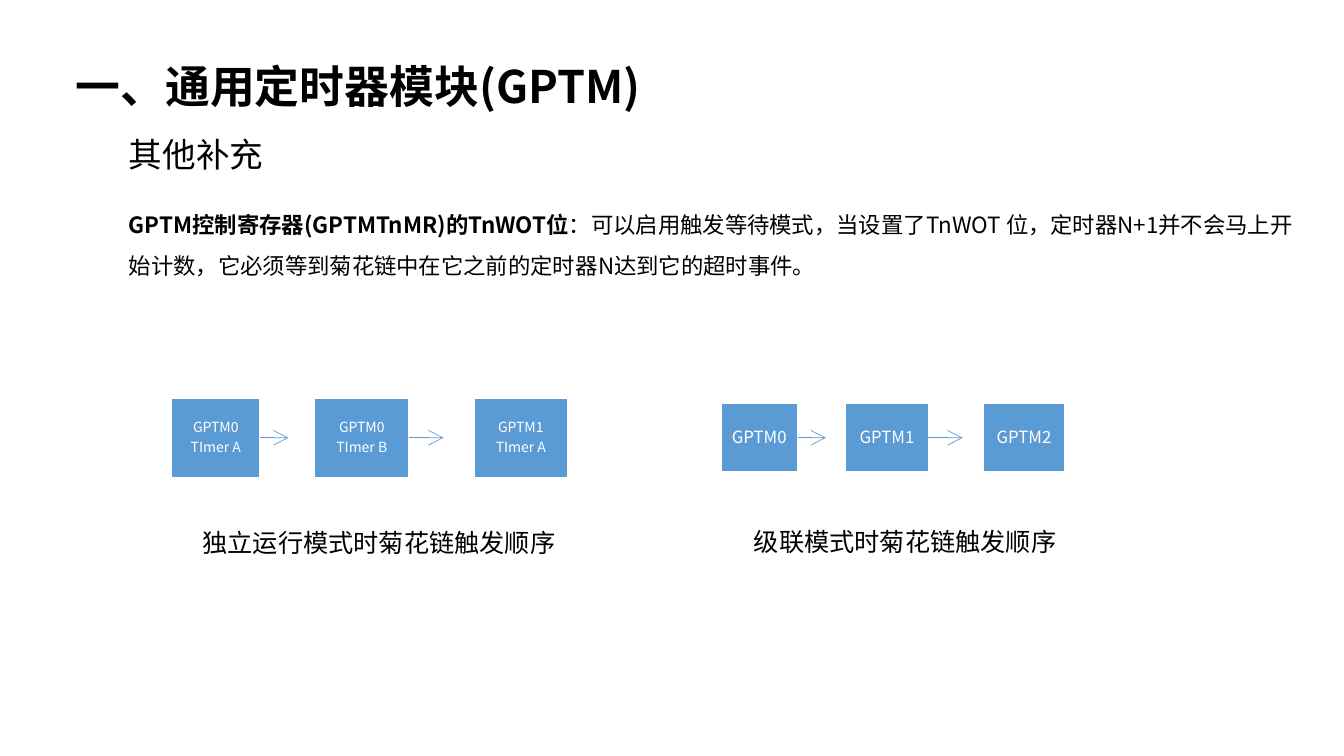
from dataclasses import dataclass

from lxml.etree import SubElement
from pptx import Presentation
from pptx.dml.color import RGBColor
from pptx.enum.shapes import MSO_CONNECTOR, MSO_SHAPE
from pptx.enum.text import MSO_ANCHOR as Anchor, PP_ALIGN as Align
from pptx.oxml.ns import qn
from pptx.shapes.autoshape import Shape
from pptx.slide import Slide
from pptx.util import Pt

COLORS = {"text": "000000", "timer": "5B9BD5", "label": "FFFFFF"}
SANS = "Noto Sans CJK SC"
SERIF = "Times New Roman"
CHAIN_MIDDLE = 312.7
RIGHT_SIDE = 3


@dataclass(frozen=True)
class TextBlock:
    runs: tuple[str, ...]
    left: float
    top: float
    width: float
    height: float
    size: float
    font: str = SANS
    align: Align = Align.LEFT
    spacing: float = 1.0
    wrap: bool = True


@dataclass(frozen=True)
class Timer:
    lines: tuple[str, ...]
    left: float
    width: float
    arrow_length: float = 0


@dataclass(frozen=True)
class Chain:
    timers: tuple[Timer, ...]
    height: float
    size: float
    inset: float


TITLE = TextBlock(("一、通用定时器模块(GPTM)",), 46.8, 38.2, 460.8, 46, 32)
TEXTS = (
    TextBlock(("其他补充",), 85, 92.2, 758.9, 36, 24),
    TextBlock(
        ("GPTM控制寄存器(GPTMTnMR)的TnWOT位",
         "：可以启用触发等待模式，当设置了TnWOT 位，定时器N+1并不会马上开始计数，"
         "它必须等到菊花链中在它之前的定时器N达到它的超时事件。"),
        85, 137.5, 859.7, 65.5, 16, spacing=1.5),
    TextBlock(("级联模式时菊花链触发顺序",), 531.4, 372.2, 232.6, 28.8, 18,
              SERIF, wrap=False),
    TextBlock(("独立运行模式时菊花链触发顺序",), 136.1, 367.2, 269.3, 34.6, 18,
              SERIF, Align.CENTER, 1.25, False),
)
CHAINS = (
    Chain((
        Timer(("GPTM0", "TImer A"), 122.4, 63.4, 20.2),
        Timer(("GPTM0", "TImer B"), 224.6, 67.7, 24.5),
        Timer(("GPTM1", "TImer A"), 338.7, 66.6),
    ), 56.4, 10, 5.8),
    Chain((
        Timer(("GPTM0",), 515, 54.7, 20.2),
        Timer(("GPTM1",), 604.1, 59, 24.5),
        Timer(("GPTM2",), 702.7, 57.6),
    ), 49, 12, 6.5),
)


def color(name: str) -> RGBColor:
    return RGBColor.from_string(COLORS[name])


def fill_text(shape: Shape, block: TextBlock) -> None:
    """Place the shape and write the block; the first of several runs is bold."""
    shape.left, shape.top = Pt(block.left), Pt(block.top)
    shape.width, shape.height = Pt(block.width), Pt(block.height)
    frame = shape.text_frame
    frame.word_wrap = block.wrap
    frame.vertical_anchor = Anchor.MIDDLE
    paragraph = frame.paragraphs[0]
    paragraph.alignment = block.align
    paragraph.line_spacing = block.spacing
    paragraph.font.size = Pt(block.size)
    paragraph.font.name = block.font
    paragraph.font.color.rgb = color("text")
    for index, words in enumerate(block.runs):
        run = paragraph.add_run()
        run.text = words
        if len(block.runs) > 1:
            run.font.bold = index == 0


def add_timer(slide: Slide, timer: Timer, chain: Chain) -> Shape:
    box = slide.shapes.add_shape(
        MSO_SHAPE.RECTANGLE, Pt(timer.left), Pt(CHAIN_MIDDLE - chain.height / 2),
        Pt(timer.width), Pt(chain.height))
    box.shadow.inherit = False
    box.fill.solid()
    box.fill.fore_color.rgb = color("timer")
    box.line.color.rgb = color("label")
    box.line.width = Pt(1)
    frame = box.text_frame
    frame.word_wrap = True
    frame.vertical_anchor = Anchor.MIDDLE
    frame.margin_left = frame.margin_right = Pt(chain.inset)
    frame.margin_top = frame.margin_bottom = Pt(chain.inset)
    frame.text = "\n".join(timer.lines)
    for paragraph in frame.paragraphs:
        paragraph.alignment = Align.CENTER
        paragraph.line_spacing = 0.9
        paragraph.space_after = Pt(0.35 * chain.size)
        paragraph.font.size = Pt(chain.size)
        paragraph.font.name = SANS
        paragraph.font.color.rgb = color("label")
    return box


def add_arrow(slide: Slide, box: Shape, length: float) -> None:
    """Draw an arrow from the middle of the box's right side."""
    start = box.left + box.width
    middle = Pt(CHAIN_MIDDLE)
    arrow = slide.shapes.add_connector(
        MSO_CONNECTOR.STRAIGHT, start, middle, start + Pt(length), middle)
    arrow.begin_connect(box, RIGHT_SIDE)
    arrow.end_y = arrow.begin_y
    arrow.line.color.rgb = color("timer")
    arrow.line.width = Pt(0.5)
    SubElement(arrow.line._get_or_add_ln(), qn("a:tailEnd"),
               type="arrow", w="lg", len="lg")
    SubElement(arrow._element.spPr, qn("a:effectLst"))


def main() -> None:
    prs = Presentation()
    prs.slide_width, prs.slide_height = Pt(960), Pt(540)
    slide = prs.slides.add_slide(prs.slide_layouts[5])
    title = slide.shapes.title
    fill_text(title, TITLE)
    title.text_frame.paragraphs[0].font.bold = True
    for block in TEXTS:
        fill_text(slide.shapes.add_textbox(0, 0, 0, 0), block)
    for chain in CHAINS:
        for timer in chain.timers:
            box = add_timer(slide, timer, chain)
            if timer.arrow_length:
                add_arrow(slide, box, timer.arrow_length)
    prs.save("out.pptx")


if __name__ == "__main__":
    main()
